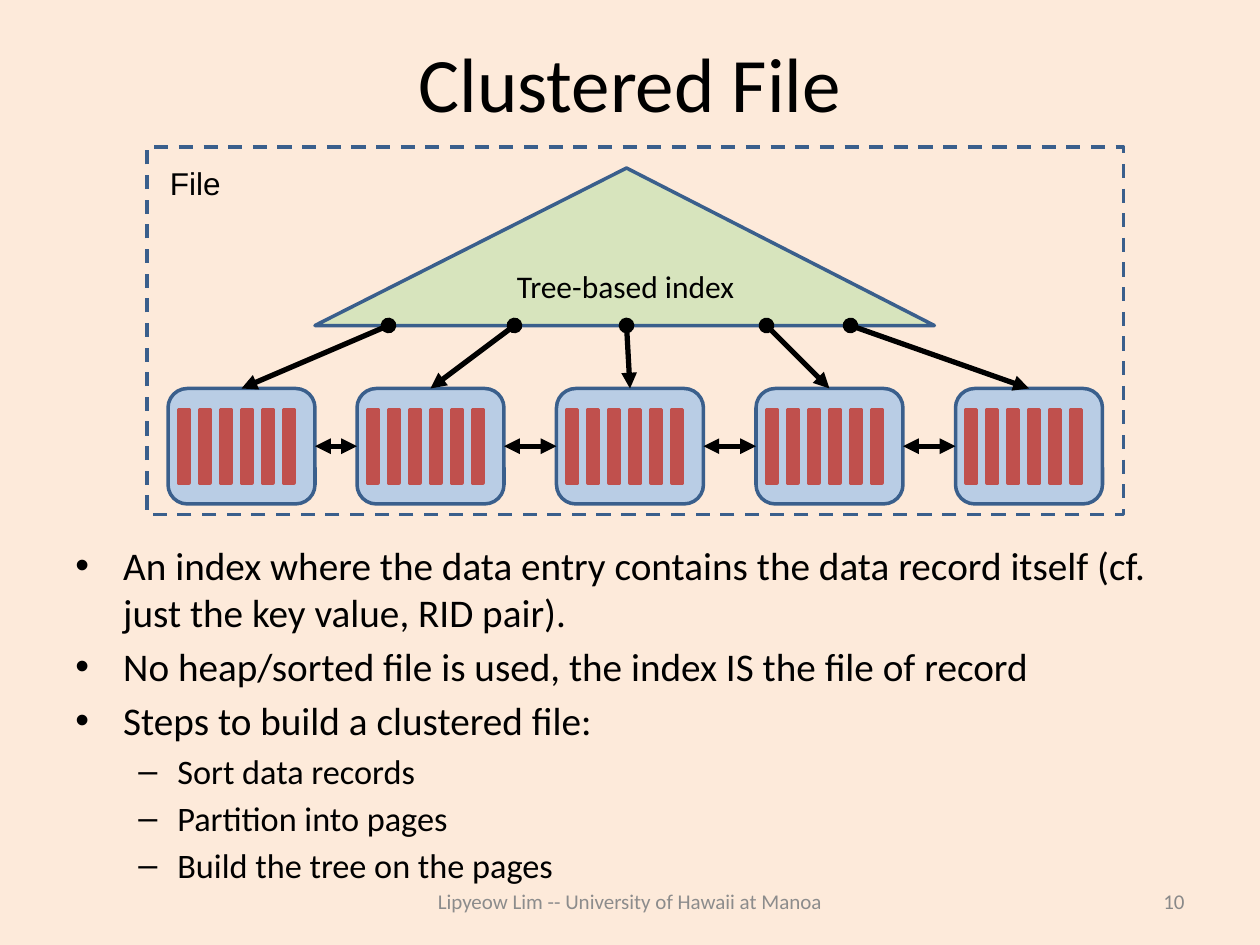
from itertools import pairwise
from lxml.etree import SubElement
from pptx import Presentation
from pptx.dml.color import RGBColor
from pptx.enum.dml import MSO_LINE
from pptx.enum.shapes import MSO_CONNECTOR, MSO_SHAPE
from pptx.enum.text import MSO_ANCHOR, PP_ALIGN
from pptx.oxml.ns import qn
from pptx.util import Inches, Pt

THEME = {
    "back": "FDEADA", "ink": "000000", "edge": "3A5F8C", "page": "B9CDE5",
    "record": "C0504D", "tree": "D7E4BD", "foot": "8C8C8C", "number": "898989",
    "title": 44, "label": 18, "small": 12, "points": (22.4, 19.6),
    "gaps": (4, 3.5), "thin": 2, "thick": 3, "font": "Calibri", "plain": "Arial",
}
COLS = 120

deck = Presentation()
deck.slide_width, deck.slide_height = Inches(10), Inches(7.5)
unit = deck.slide_width / COLS
slide = deck.slides.add_slide(deck.slide_layouts[6])
slide.background.fill.solid()
slide.background.fill.fore_color.rgb = RGBColor.from_string(THEME["back"])


def grid(*cells):
    return [round(cell * unit) for cell in cells]


def draw(home, kind, cells, fill=None, line="edge"):
    """Add a preset shape to a slide or group, placed in grid cells."""
    shape = home.shapes.add_shape(kind, *grid(*cells))
    shape.shadow.inherit = False
    if fill:
        shape.fill.solid()
        shape.fill.fore_color.rgb = RGBColor.from_string(THEME[fill])
    else:
        shape.fill.background()
    shape.line.color.rgb = RGBColor.from_string(THEME[line])
    shape.line.width = Pt(THEME["thin"])
    return shape


# File frame, data pages and tree
frame = draw(slide, MSO_SHAPE.RECTANGLE, (14, 14, 93, 35))
frame.line.dash_style = MSO_LINE.DASH

pages = []
for left in (16, 34, 53, 72, 91):
    group = slide.shapes.add_group_shape()
    pages.append(draw(group, MSO_SHAPE.ROUNDED_RECTANGLE, (left, 37, 14, 11), "page"))
    for slot in range(6):
        draw(group, MSO_SHAPE.RECTANGLE, (left + 1 + 2 * slot, 39, 1, 7), "record", "record")

tree = draw(slide, MSO_SHAPE.ISOSCELES_TRIANGLE, (30, 16, 59, 15), "tree")
tree.adjustments[0] = 0.503

# Arrows: tree to page, and page to page
arrows = []
for dot, page in zip((37, 49, 59.67, 73, 81), pages):
    arrow = slide.shapes.add_connector(MSO_CONNECTOR.STRAIGHT, *grid(dot, 31, dot, 37))
    arrow.end_connect(page, 0)
    arrows.append((arrow, "oval"))
for left, right in pairwise(pages):
    arrow = slide.shapes.add_connector(MSO_CONNECTOR.STRAIGHT, 0, 0, 0, 0)
    arrow.begin_connect(left, 3)
    arrow.end_connect(right, 1)
    arrows.append((arrow, "triangle"))
for arrow, start in arrows:
    arrow.line.color.rgb = RGBColor.from_string(THEME["ink"])
    arrow.line.width = Pt(THEME["thick"])
    line = arrow.line._get_or_add_ln()
    SubElement(line, qn("a:headEnd"), type=start)
    SubElement(line, qn("a:tailEnd"), type="triangle")
    SubElement(arrow._element.spPr, qn("a:effectLst"))

# Single-line texts
MID, TOP = MSO_ANCHOR.MIDDLE, MSO_ANCHOR.TOP
texts = [
    ("Clustered File", (6, 3.6, 108, 8.4), "title", "ink", "font", PP_ALIGN.CENTER, MID),
    ("Lipyeow Lim -- University of Hawaii at Manoa", (36, 83.4, 48, 4.8),
     "small", "foot", "font", PP_ALIGN.CENTER, MID),
    ("10", (86, 83.4, 28, 4.8), "small", "number", "font", PP_ALIGN.RIGHT, MID),
    ("File", (15, 15, 8, 4.8), "label", "ink", "plain", PP_ALIGN.LEFT, TOP),
    ("Tree-based index", None, "label", "ink", "font", PP_ALIGN.CENTER, MID),
]
for words, cells, size, color, font, align, anchor in texts:
    box = slide.shapes.add_textbox(*grid(*cells)) if cells else tree
    frame = box.text_frame
    frame.word_wrap, frame.vertical_anchor = True, anchor
    para = frame.paragraphs[0]
    para.text, para.alignment = words, align
    para.font.color.rgb = RGBColor.from_string(THEME[color])
    for name, value in {"size": Pt(THEME[size]), "name": THEME[font]}.items():
        setattr(para.font, name, value)

# Bulleted points
points = [
    (0, "An index where the data entry contains the data record itself "
        "(cf. just the key value, RID pair)."),
    (0, "No heap/sorted file is used, the index IS the file of record"),
    (0, "Steps to build a clustered file:"),
    (1, "Sort data records"),
    (1, "Partition into pages"),
    (1, "Build the tree on the pages"),
]
marks = [("•", 0.38, -0.38), ("–", 0.81, -0.31)]
body = slide.shapes.add_textbox(*grid(6, 51, 108, 29.4)).text_frame
body.word_wrap = True
for row, (level, words) in enumerate(points):
    para = body.add_paragraph() if row else body.paragraphs[0]
    para.text, para.level = words, level
    if row:
        para.space_before = Pt(THEME["gaps"][level])
    mark, margin, indent = marks[level]
    props = para._p.get_or_add_pPr()
    props.set("marL", str(Inches(margin)))
    props.set("indent", str(Inches(indent)))
    SubElement(props, qn("a:buFont"), typeface=THEME["plain"])
    SubElement(props, qn("a:buChar"), char=mark)
    para.font.color.rgb = RGBColor.from_string(THEME["ink"])
    for name, value in {"size": Pt(THEME["points"][level]), "name": THEME["font"]}.items():
        setattr(para.font, name, value)

deck.save("out.pptx")
